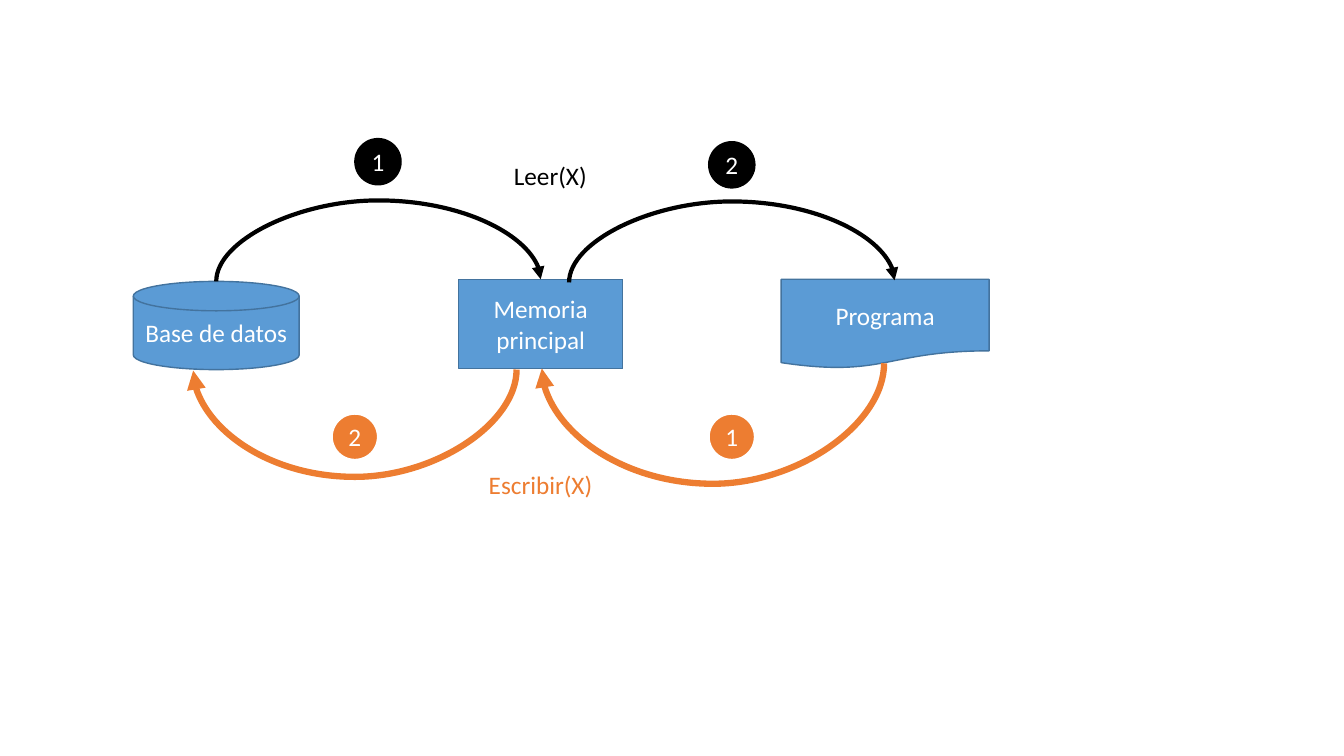
from dataclasses import dataclass

from lxml import etree
from pptx import Presentation
from pptx.dml.color import RGBColor
from pptx.enum.shapes import MSO_CONNECTOR, MSO_SHAPE
from pptx.enum.text import MSO_ANCHOR, MSO_AUTO_SIZE, PP_ALIGN
from pptx.oxml.ns import qn
from pptx.util import Pt

PX = 9525  # EMU per px, 96 px to the inch
CURVE = MSO_CONNECTOR.CURVE
DISK = MSO_SHAPE.FLOWCHART_MAGNETIC_DISK
DOCUMENT = MSO_SHAPE.FLOWCHART_DOCUMENT
PROCESS = MSO_SHAPE.FLOWCHART_PROCESS
OVAL = MSO_SHAPE.OVAL
MIDDLE = MSO_ANCHOR.MIDDLE
CENTER = PP_ALIGN.CENTER
FIT_SHAPE = MSO_AUTO_SIZE.SHAPE_TO_FIT_TEXT


@dataclass(frozen=True)
class Theme:
    font: str = "Calibri"
    size: Pt = Pt(18)
    box: RGBColor = RGBColor(0x5B, 0x9B, 0xD5)
    edge: RGBColor = RGBColor(0x43, 0x73, 0x9E)
    black: RGBColor = RGBColor(0, 0, 0)
    orange: RGBColor = RGBColor(0xED, 0x7D, 0x31)
    white: RGBColor = RGBColor(0xFF, 0xFF, 0xFF)


T = Theme()


def set_text(sp, text, color):
    p = sp.text_frame.paragraphs[0]
    p.text = text
    p.font.name = T.font
    p.font.size = T.size
    p.font.color.rgb = color
    return p


def add_node(kind, box, text, fill, edge, weight):
    """Add a filled preset shape with centred white text."""
    sp = s.shapes.add_shape(kind, *(v * PX for v in box))
    sp.shadow.inherit = False
    sp.fill.solid()
    sp.fill.fore_color.rgb = fill
    sp.line.color.rgb = edge
    sp.line.width = Pt(weight)
    sp.text_frame.word_wrap = True
    sp.text_frame.vertical_anchor = MIDDLE
    set_text(sp, text, T.white).alignment = CENTER


prs = Presentation()
prs.slide_width = 1280 * PX
prs.slide_height = 720 * PX
s = prs.slides.add_slide(prs.slide_layouts[6])

# Storage, memory and program
for kind, box, text in (
    (DISK, (127, 268, 158, 84), "Base de datos"),
    (DOCUMENT, (744, 266, 198, 85), "Programa"),
    (PROCESS, (437, 266, 156, 85), "Memoria principal"),
):
    add_node(kind, box, text, T.box, T.edge, 1)

# Arcs: start, end, and the y that the curve bends towards
for (x1, y1), (x2, y2), bend, color, weight in (
    ((206, 268), (515, 266), 191, T.black, 3),
    ((542, 269), (852, 267), 192, T.black, 3),
    ((842, 346), (516, 351), 461, T.orange, 4.5),
    ((492, 352), (184, 353), 456, T.orange, 4.5),
):
    # The connector is laid out a quarter turn back, then rotated into place.
    cx, cy = (x1 + x2) / 2, (y1 + y2) / 2
    turned = (cx + y1 - cy, cy - x1 + cx, cx + y2 - cy, cy - x2 + cx)
    arc = s.shapes.add_connector(CURVE, *(int(v * PX) for v in turned))
    arc.line.color.rgb = color
    arc.line.width = Pt(weight)
    sp_pr = arc._element.spPr
    sp_pr.find(qn("a:xfrm")).set("rot", "5400000")
    adjust = etree.SubElement(sp_pr.find(qn("a:prstGeom")).find(qn("a:avLst")), qn("a:gd"))
    adjust.set("name", "adj1")
    adjust.set("fmla", f"val {round((bend - y1) / (y2 - y1) * 100000)}")
    etree.SubElement(sp_pr.find(qn("a:ln")), qn("a:tailEnd")).set("type", "triangle")
    etree.SubElement(sp_pr, qn("a:effectLst"))

# Step numbers
for x, y, text, fill, edge, weight in (
    (338, 132, "1", T.black, T.black, 1),
    (675, 135, "2", T.black, T.black, 1),
    (675, 394, "1", T.orange, T.white, 1.5),
    (316, 394, "2", T.orange, T.white, 1.5),
):
    add_node(OVAL, (x, y, 44, 44), text, fill, edge, weight)

# Operation names
for box, text, color in (
    ((480, 148, 89, 38), "Leer(X)", T.black),
    ((456, 442, 119, 38), "Escribir(X)", T.orange),
):
    label = s.shapes.add_textbox(*(v * PX for v in box))
    label.text_frame.word_wrap = False
    label.text_frame.auto_size = FIT_SHAPE
    set_text(label, text, color)

prs.save("out.pptx")
